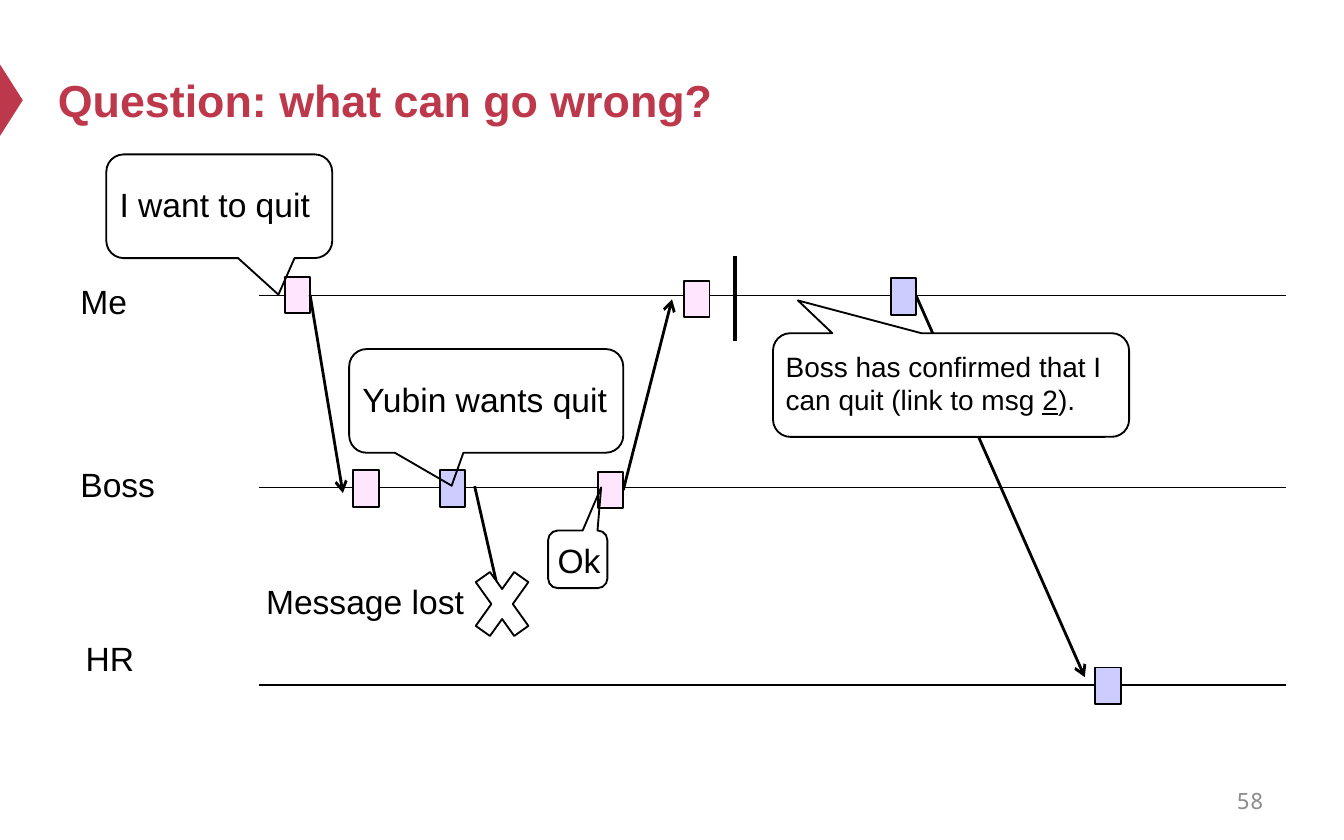
from lxml import etree
from pptx import Presentation
from pptx.dml.color import RGBColor
from pptx.enum.shapes import MSO_CONNECTOR, MSO_SHAPE
from pptx.enum.text import MSO_ANCHOR, MSO_AUTO_SIZE, PP_ALIGN
from pptx.oxml.ns import qn
from pptx.util import Cm, Pt

STRAIGHT = MSO_CONNECTOR.STRAIGHT
RECTANGLE = MSO_SHAPE.RECTANGLE
TRIANGLE = MSO_SHAPE.ISOSCELES_TRIANGLE
CALLOUT = MSO_SHAPE.ROUNDED_RECTANGULAR_CALLOUT
CROSS = MSO_SHAPE.MATH_MULTIPLY
MIDDLE = MSO_ANCHOR.MIDDLE
GROW, FIXED = MSO_AUTO_SIZE.SHAPE_TO_FIT_TEXT, MSO_AUTO_SIZE.NONE
LEFT, RIGHT = PP_ALIGN.LEFT, PP_ALIGN.RIGHT

RED = RGBColor(0xBE, 0x38, 0x4B)
BLACK = RGBColor(0, 0, 0)
WHITE = RGBColor(0xFF, 0xFF, 0xFF)
GREY = RGBColor(0x8C, 0x8C, 0x8C)
PINK = RGBColor(0xFF, 0xE6, 0xFE)
BLUE = RGBColor(0xCD, 0xCC, 0xFE)

RIGHT_SIDE = 3
EVENT_WIDTH, EVENT_HEIGHT = 0.48, 0.69
CALLOUT_HEIGHT = 1.96
TEXT_HEIGHT = 1.02


def place(box, left, top, width, height):
    """Turn centimetres inside a box into slide lengths."""
    return Cm(box[0] + left), Cm(box[1] + top), Cm(width), Cm(height)


def add_span(para, text, size=18, color=BLACK, font="Arial", bold=False, underline=None):
    span = para.add_run()
    span.text = text
    span.font.name = font
    span.font.size = Pt(size)
    span.font.color.rgb = color
    span.font.bold = bold
    span.font.underline = underline


def add_text(shapes, area, wrap=True):
    """Add an empty text box and return its frame."""
    frame = shapes.add_textbox(*area).text_frame
    frame.word_wrap = wrap
    frame.auto_size = GROW
    return frame


def add_outlined(shapes, kind, area, fill=None):
    shape = shapes.add_shape(kind, *area)
    shape.shadow.inherit = False
    if fill is None:
        shape.fill.background()
    else:
        shape.fill.solid()
        shape.fill.fore_color.rgb = fill
    shape.line.color.rgb = BLACK
    shape.line.width = Pt(1)
    return shape


def add_line(shapes, box, start, end, width, arrow=False):
    points = [Cm(box[i] + point[i]) for point in (start, end) for i in (0, 1)]
    line = shapes.add_connector(STRAIGHT, *points)
    line.line.color.rgb = BLACK
    line.line.width = Pt(width)
    if arrow:
        etree.SubElement(line.line._get_or_add_ln(), qn("a:tailEnd"), type="arrow")
    etree.SubElement(line._element.spPr, qn("a:effectLst"))
    return line


def add_callout(page, area, tail, text_area, spans, size=18, fill=None, wrap=False, indent=0.25):
    """Group a speech bubble with its words."""
    group = page.shapes.add_group_shape()
    bubble = add_outlined(group.shapes, CALLOUT, area, fill)
    for index, value in enumerate((*tail, 0.167)):
        bubble.adjustments[index] = value
    frame = add_text(group.shapes, text_area, wrap)
    frame.margin_left = Cm(indent)
    for text, underline in spans:
        add_span(frame.paragraphs[0], text, size, underline=underline)


def add_heading(page, box):
    marker = page.shapes.add_shape(TRIANGLE, *place(box, -0.46, 1.68, 1.35, 0.43))
    marker.rotation = 90
    marker.shadow.inherit = False
    marker.fill.solid()
    marker.fill.fore_color.rgb = RED
    marker.line.fill.background()

    title = page.shapes.title
    title.left, title.top, title.width, title.height = place(box, 0.84, 0.64, 22.86, 2.49)
    frame = title.text_frame
    frame.auto_size = FIXED
    frame.vertical_anchor = MIDDLE
    frame.paragraphs[0].alignment = LEFT
    add_span(frame.paragraphs[0], "Question: what can go wrong?", 24, RED, bold=True)


def add_timelines(page, box):
    """Draw the three lanes with their names, and the bar on the first."""
    lanes = (("Me", 2.67, 0, 2.26), ("Boss", 6.3, 0, 5.72), ("HR", 10.03, 0.1, 9.02))
    for name, lane_top, label_left, label_top in lanes:
        add_line(page.shapes, box, (3.63, lane_top), (box[2], lane_top), 0.75)
        area = place(box, label_left, label_top, 2.54, TEXT_HEIGHT)
        add_span(add_text(page.shapes, area).paragraphs[0], name)
    add_line(page.shapes, box, (12.62, 1.93), (12.62, 3.53), 2.5)


def add_messages(page, box):
    """Draw the events and the arrows between them."""
    events = {
        "quit sent": (4.11, 2.31, PINK),
        "quit received": (5.41, 5.97, PINK),
        "boss to HR": (7.04, 5.97, BLUE),
        "ok sent": (10.03, 6, PINK),
        "ok received": (11.66, 2.39, PINK),
        "me to HR": (15.57, 2.34, BLUE),
        "HR received": (19.43, 9.7, BLUE),
    }
    squares = {
        name: add_outlined(page.shapes, RECTANGLE,
                           place(box, left, top, EVENT_WIDTH, EVENT_HEIGHT), fill)
        for name, (left, top, fill) in events.items()
    }
    arrows = (("quit sent", (5.21, 6.4)), ("ok sent", (11.43, 2.74)), ("me to HR", (19.23, 9.88)))
    for name, end in arrows:
        arrow = add_line(page.shapes, box, events[name][:2], end, 1.5, arrow=True)
        arrow.begin_connect(squares[name], RIGHT_SIDE)

    add_line(page.shapes, box, (7.7, 6.27), (8.23, 8.61), 1.5)
    add_outlined(page.shapes, CROSS, place(box, 7.52, 7.52, 1.4, 1.96), WHITE)
    frame = add_text(page.shapes, place(box, 3.51, 7.93, 4.29, TEXT_HEIGHT), wrap=False)
    add_span(frame.paragraphs[0], "Message lost")


def add_speech(page, box):
    add_callout(page, place(box, 0.74, 0, 4.27, CALLOUT_HEIGHT), (0.262, 0.853),
                place(box, 0.74, 0.43, 4.14, TEXT_HEIGHT), [("I want to quit", None)])
    add_callout(page, place(box, 9.09, 7.11, 1.12, 1.09), (0.395, -1.249),
                place(box, 9.02, 7.16, 1.32, TEXT_HEIGHT), [("Ok", None)])
    add_callout(page, place(box, 13.34, 3.38, 6.73, CALLOUT_HEIGHT), (-0.43, -0.816),
                place(box, 13.13, 3.56, 6.91, 1.55),
                [("Boss has confirmed that I can quit (link to msg ", None),
                 ("2", True), (").", None)],
                size=15, fill=WHITE, wrap=True, indent=0.45)
    add_callout(page, place(box, 5.33, 3.68, 5.18, CALLOUT_HEIGHT), (-0.126, 0.818),
                place(box, 5.33, 4.12, 5.18, TEXT_HEIGHT), [("Yubin wants quit", None)])


def add_page_number(page, box):
    frame = add_text(page.shapes, place(box, 0, 0, box[2], box[3]))
    frame.auto_size = FIXED
    frame.vertical_anchor = MIDDLE
    frame.paragraphs[0].alignment = RIGHT
    add_span(frame.paragraphs[0], "58", 12, GREY, "Noto Sans Mono")


def main():
    deck = Presentation()
    deck.slide_width, deck.slide_height = Cm(25.4), Cm(15.88)
    page = deck.slides.add_slide(deck.slide_layouts[5])
    diagram = (1.27, 2.92, 23.04, 10.5)
    add_heading(page, (0, 0, 25.4, 3.13))
    add_timelines(page, diagram)
    add_messages(page, diagram)
    add_speech(page, diagram)
    add_page_number(page, (18.21, 14.71, 5.92, 0.84))
    deck.save("out.pptx")


if __name__ == "__main__":
    main()
